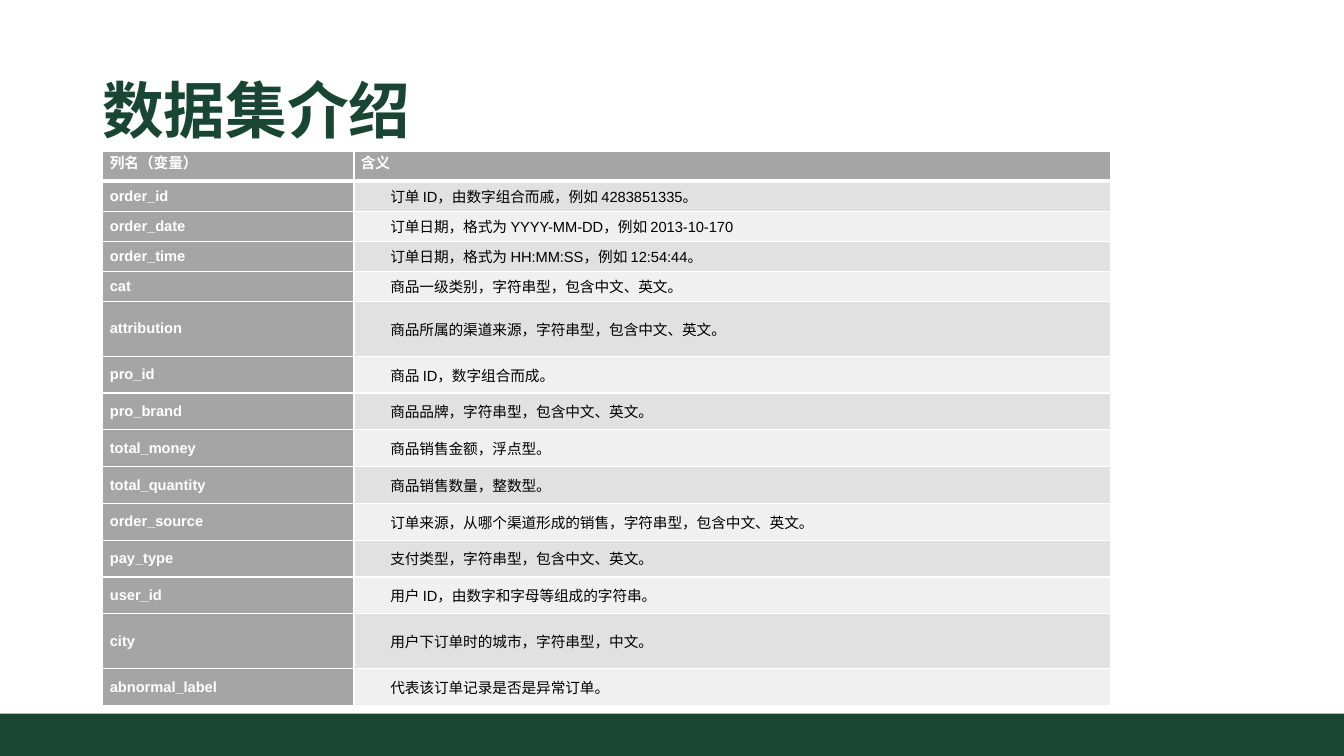
import pptx
import pptx.dml.color
import pptx.enum.shapes
import pptx.enum.text
import pptx.oxml
import pptx.oxml.ns
import pptx.util

Pt = pptx.util.Pt
MIDDLE = pptx.enum.text.MSO_ANCHOR.MIDDLE
TOP = pptx.enum.text.MSO_ANCHOR.TOP

SHORT, MEDIUM, TALL = 21.43, 26.3, 39.3
HEADINGS = ("列名（变量）", "含义", SHORT)
VARIABLES = [
    ("order_id", "订单 ID，由数字组合而戚，例如 4283851335。", SHORT),
    ("order_date", "订单日期，格式为 YYYY-MM-DD，例如 2013-10-170", SHORT),
    ("order_time", "订单日期，格式为 HH:MM:SS，例如 12:54:44。", SHORT),
    ("cat", "商品一级类别，字符串型，包含中文、英文。", SHORT),
    ("attribution", "商品所属的渠道来源，字符串型，包含中文、英文。", TALL),
    ("pro_id", "商品 ID，数字组合而成。", MEDIUM),
    ("pro_brand", "商品品牌，字符串型，包含中文、英文。", MEDIUM),
    ("total_money", "商品销售金额，浮点型。", MEDIUM),
    ("total_quantity", "商品销售数量，整数型。", MEDIUM),
    ("order_source", "订单来源，从哪个渠道形成的销售，字符串型，包含中文、英文。", MEDIUM),
    ("pay_type", "支付类型，字符串型，包含中文、英文。", MEDIUM),
    ("user_id", "用户 ID，由数字和字母等组成的字符串。", MEDIUM),
    ("city", "用户下订单时的城市，字符串型，中文。", TALL),
    ("abnormal_label", "代表该订单记录是否是异常订单。", MEDIUM),
]


def color(value):
    return pptx.dml.color.RGBColor.from_string(value)


def apply(target, values):
    for name, value in values.items():
        setattr(target, name, value)


class SlideBuilder:
    green = "184534"
    white = "FFFFFF"
    gray = "A5A5A5"
    bands = ("E1E1E1", "F0F0F0")
    title_font = {"name": "Montserrat", "size": Pt(44), "bold": True}
    label_font = {"name": "Arial", "size": Pt(10.5), "bold": True}
    meaning_font = {"name": "Arial", "size": Pt(10.5), "bold": False}
    label_spacing = {"space_before": Pt(2), "space_after": Pt(4)}
    meaning_spacing = {"space_before": Pt(2), "space_after": Pt(6)}
    cell_margins = {"margin_left": Pt(5), "margin_right": Pt(5),
                    "margin_top": 0, "margin_bottom": 0}

    def __init__(self, slide):
        self.slide = slide

    def text(self, paragraph, text, font, text_color, spacing):
        run = paragraph.add_run()
        run.text = text
        apply(run.font, font)
        run.font.color.rgb = color(text_color)
        apply(paragraph, spacing)

    def bar(self, left, top, width, height):
        shape = self.slide.shapes.add_shape(
            pptx.enum.shapes.MSO_SHAPE.RECTANGLE, Pt(left), Pt(top), Pt(width), Pt(height))
        shape.shadow.inherit = False
        shape.fill.solid()
        shape.fill.fore_color.rgb = color(self.green)
        shape.line.fill.background()

    def title(self, text, left, top, width, height):
        shape = self.slide.shapes.add_textbox(Pt(left), Pt(top), Pt(width), Pt(height))
        apply(shape.text_frame, {"word_wrap": True, "vertical_anchor": MIDDLE})
        self.text(shape.text_frame.paragraphs[0], text, self.title_font,
                  self.green, {"line_spacing": 0.9})

    def borders(self, cell, bottom_width):
        properties = cell._tc.get_or_add_tcPr()
        for side, width in (("L", 1), ("R", 1), ("T", 1), ("B", bottom_width)):
            properties.append(pptx.oxml.parse_xml(
                f'<a:ln{side} {pptx.oxml.ns.nsdecls("a")} w="{Pt(width)}">'
                f'<a:solidFill><a:srgbClr val="{self.white}"/></a:solidFill></a:ln{side}>'))

    def cell(self, cell, text, fill, is_header, is_meaning):
        self.borders(cell, 3 if is_header else 1)
        cell.fill.solid()
        cell.fill.fore_color.rgb = color(fill)
        apply(cell, self.cell_margins)
        cell.vertical_anchor = TOP if is_header else MIDDLE
        paragraph = cell.text_frame.paragraphs[0]
        if is_meaning:
            self.text(paragraph, text, self.meaning_font, "000000", self.meaning_spacing)
            paragraph._p.get_or_add_pPr().set("indent", str(Pt(21)))
        else:
            self.text(paragraph, text, self.label_font, self.white, self.label_spacing)

    def table(self, rows, left, top, column_widths):
        total_height = sum(height for *_, height in rows)
        table = self.slide.shapes.add_table(
            len(rows), len(column_widths), Pt(left), Pt(top),
            Pt(sum(column_widths)), Pt(total_height)).table
        for column, width in zip(table.columns, column_widths):
            column.width = Pt(width)
        for row_index, (*texts, height) in enumerate(rows):
            table.rows[row_index].height = Pt(height)
            is_header = row_index == 0
            for column_index, text in enumerate(texts):
                is_meaning = column_index == 1 and not is_header
                fill = self.bands[(row_index - 1) % 2] if is_meaning else self.gray
                self.cell(table.cell(row_index, column_index), text, fill,
                          is_header, is_meaning)


def main():
    presentation = pptx.Presentation()
    apply(presentation, {"slide_width": Pt(960), "slide_height": Pt(540)})
    builder = SlideBuilder(presentation.slides.add_slide(presentation.slide_layouts[6]))
    builder.bar(0, 509.8, 960, 30.2)
    builder.title("数据集介绍", 66, 28.75, 828, 104.4)
    builder.table([HEADINGS, *VARIABLES], 73.5, 108, (179.3, 540.5))
    presentation.save("out.pptx")


if __name__ == "__main__":
    main()
